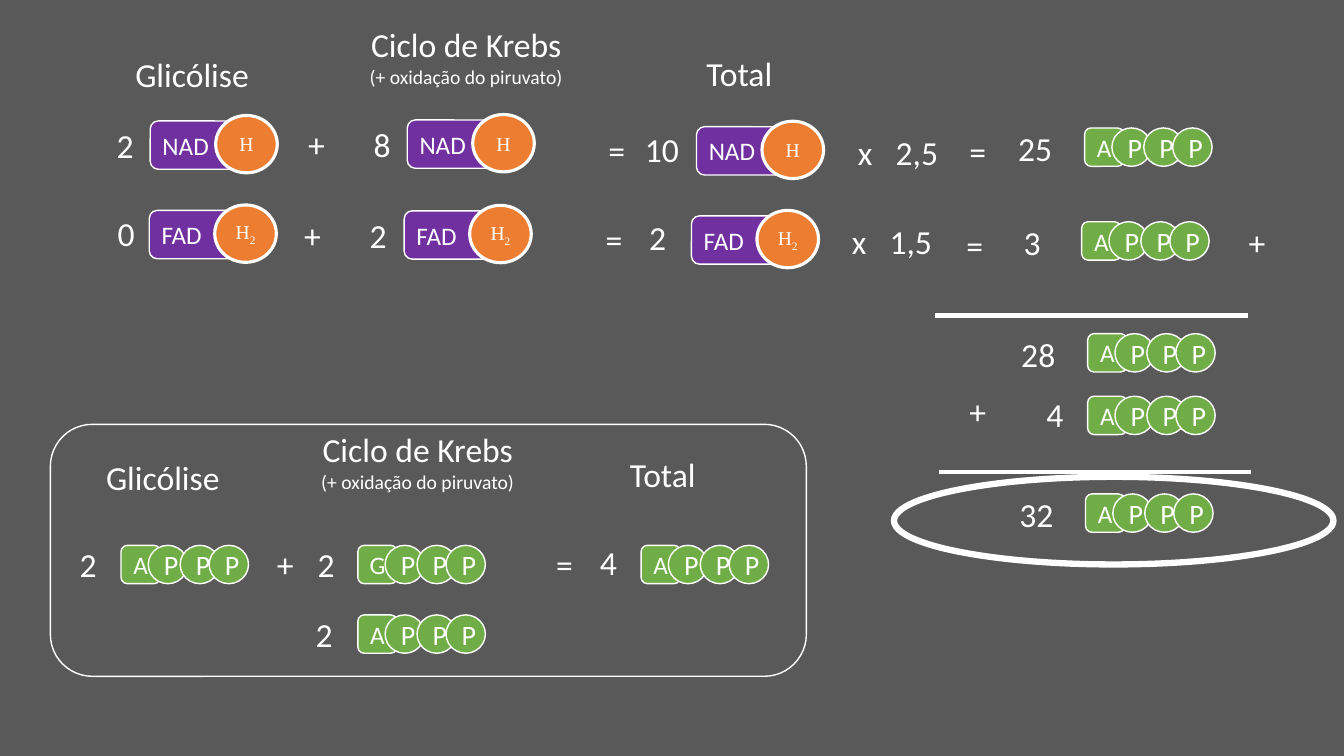
from lxml import etree
from pptx import Presentation
from pptx.dml.color import RGBColor
from pptx.enum.shapes import MSO_CONNECTOR, MSO_SHAPE
from pptx.enum.text import MSO_ANCHOR, MSO_AUTO_SIZE, PP_ALIGN
from pptx.oxml.ns import qn
from pptx.util import Pt

ROUNDED, OVAL = MSO_SHAPE.ROUNDED_RECTANGLE, MSO_SHAPE.OVAL
STRAIGHT = MSO_CONNECTOR.STRAIGHT
LEFT, CENTER = PP_ALIGN.LEFT, PP_ALIGN.CENTER
MIDDLE = MSO_ANCHOR.MIDDLE
GROW = MSO_AUTO_SIZE.SHAPE_TO_FIT_TEXT


class Theme:
    background = RGBColor(0x59, 0x59, 0x59)
    white = RGBColor(0xFF, 0xFF, 0xFF)
    carrier = RGBColor(0x70, 0x30, 0xA0)
    hydrogen = RGBColor(0xED, 0x7D, 0x31)
    nucleotide = RGBColor(0x70, 0xAD, 0x47)
    font, hydrogen_font = "Calibri", "Times New Roman"
    label_size, subtitle_size = 24, 14
    letter_size, phosphate_size, hydrogen_size = 18, 20, 14
    thin, medium, rule, thick = 1, 2.25, 3, 4.5


# Headings and labels: text, centre x, top
KREBS = ("Ciclo de Krebs", "(+ oxidação do piruvato)")
HEADINGS = [
    (("Glicólise",), 137.2, 35.3), (KREBS, 333, 13.7), (("Total",), 528.1, 34.6),
    (("Glicólise",), 116.3, 322.6), (KREBS, 298.4, 303.1), (("Total",), 473.4, 320.4),
]
LABELS = [
    # NAD row
    ("2", 89.3, 85.7), ("+", 226.1, 85), ("8", 272.9, 85), ("=", 440.6, 89.3),
    ("10", 472.7, 88.6), ("=", 698.4, 90), ("25", 739.4, 87.8),
    # FAD row
    ("0", 90, 148.3), ("+", 223.2, 149.8), ("2", 270, 149.8), ("=", 438.5, 152.6),
    ("2", 469.8, 151.2), ("=", 696.2, 157), ("3", 737.3, 154.8), ("+", 897.8, 154.8),
    # Sum on the right
    ("28", 741.6, 234.7), ("+", 698.4, 275.8), ("4", 753.5, 277.9), ("32", 740.2, 349.2),
    # Panel
    ("2", 63, 385.2), ("+", 203.8, 385.2), ("2", 232.9, 385.2), ("=", 403.2, 385.2),
    ("4", 434.5, 383.8), ("2", 231.5, 434.9),
]
# Factor, left, top
FACTORS = [("2,5", 605.7, 90.7), ("1,5", 601.3, 154.1)]
# Carrier, hydrogen count, left, top
CARRIERS = [
    ("NAD", "", 107.3, 86.4), ("NAD", "", 290.9, 85.7), ("NAD", "", 497.5, 90.5),
    ("FAD", "2", 106.6, 150.3), ("FAD", "2", 288.7, 150.6), ("FAD", "2", 493.9, 154.2),
]
# Base letter, left, top
TRIPHOSPHATES = [
    ("A", 774.7, 91.4), ("A", 772.6, 158.4), ("A", 776.9, 238.3),
    ("A", 776.9, 283), ("A", 775.4, 352.8), ("A", 86.4, 389.5),
    ("G", 255.6, 389.5), ("A", 457.9, 389.5), ("A", 255.6, 439.2),
]
# Start x, end x, y
SUM_LINES = [(668.2, 891.4, 225.4), (671, 893.5, 337)]
PANEL = (36, 303.1, 540, 180)
RESULT_RING = (638.6, 340.6, 313.9, 62.6)

CARRIER_SIZE, HYDROGEN_SIZE, HYDROGEN_SHIFT = (78.5, 34.5), (44, 41), (46.8, -3.9)
UNIT_SIZE, PHOSPHATE_SHIFTS = (28.1, 27.4), (19.5, 42.3, 63)
HEADING_WIDTH, LABEL_WIDTH, FACTOR_WIDTH, LINE_HEIGHT = 228, 54, 84, 36
FACTOR_TAB = 27


def style(paragraph, size, align=CENTER, font=Theme.font):
    paragraph.alignment = align
    paragraph.font.size = Pt(size)
    paragraph.font.name = font
    paragraph.font.color.rgb = Theme.white


def add_figure(slide, kind, box, line_width, fill=None):
    shape = slide.shapes.add_shape(kind, *map(Pt, box))
    shape.shadow.inherit = False
    if fill is None:
        shape.fill.background()
    else:
        shape.fill.solid()
        shape.fill.fore_color.rgb = fill
    shape.line.color.rgb = Theme.white
    shape.line.width = Pt(line_width)
    return shape


def write(shape, text, size, align=CENTER, font=Theme.font):
    shape.text_frame.vertical_anchor = MIDDLE
    paragraph = shape.text_frame.paragraphs[0]
    paragraph.add_run().text = text
    style(paragraph, size, align, font)
    return paragraph


def add_text_box(slide, left, top, width, height=LINE_HEIGHT):
    frame = slide.shapes.add_textbox(Pt(left), Pt(top), Pt(width), Pt(height)).text_frame
    frame.word_wrap = True
    frame.auto_size = GROW
    return frame


def add_label(slide, lines, center, top, width):
    """Centred lines; every line after the first is set as a subtitle."""
    height = LINE_HEIGHT + 17 * (len(lines) - 1)
    frame = add_text_box(slide, center - width / 2, top, width, height)
    for index, line in enumerate(lines):
        paragraph = frame.add_paragraph() if index else frame.paragraphs[0]
        paragraph.add_run().text = line
        style(paragraph, Theme.subtitle_size if index else Theme.label_size)


def add_factor(slide, factor, left, top):
    """Multiplication sign and factor, parted by a tab stop."""
    paragraph = add_text_box(slide, left, top, FACTOR_WIDTH).paragraphs[0]
    tabs = etree.SubElement(paragraph._p.get_or_add_pPr(), qn("a:tabLst"))
    etree.SubElement(tabs, qn("a:tab"), pos=str(Pt(FACTOR_TAB)), algn="l")
    paragraph.add_run().text = f"x\t{factor}"
    style(paragraph, Theme.label_size, LEFT)


def add_carrier(slide, name, count, left, top):
    body = add_figure(slide, ROUNDED, (left, top, *CARRIER_SIZE), Theme.thin, Theme.carrier)
    write(body, name, Theme.letter_size, LEFT)
    shift_x, shift_y = HYDROGEN_SHIFT
    circle = add_figure(slide, OVAL, (left + shift_x, top + shift_y, *HYDROGEN_SIZE),
                        Theme.medium, Theme.hydrogen)
    paragraph = write(circle, "H", Theme.hydrogen_size, font=Theme.hydrogen_font)
    if count:
        subscript = paragraph.add_run()
        subscript.text = count
        subscript._r.get_or_add_rPr().set("baseline", "-25000")


def add_triphosphate(slide, letter, left, top):
    base = add_figure(slide, ROUNDED, (left, top, *UNIT_SIZE), Theme.thin, Theme.nucleotide)
    write(base, letter, Theme.letter_size)
    for shift in PHOSPHATE_SHIFTS:
        phosphate = add_figure(slide, OVAL, (left + shift, top, *UNIT_SIZE),
                               Theme.thin, Theme.nucleotide)
        write(phosphate, "P", Theme.phosphate_size)


def add_sum_line(slide, start, end, y):
    line = slide.shapes.add_connector(STRAIGHT, Pt(start), Pt(y), Pt(end), Pt(y))
    line.line.color.rgb = Theme.white
    line.line.width = Pt(Theme.rule)
    etree.SubElement(line._element.spPr, qn("a:effectLst"))


def main():
    presentation = Presentation()
    presentation.slide_width, presentation.slide_height = Pt(960), Pt(540)
    slide = presentation.slides.add_slide(presentation.slide_layouts.get_by_name("Blank"))
    slide.background.fill.solid()
    slide.background.fill.fore_color.rgb = Theme.background

    add_figure(slide, ROUNDED, PANEL, Theme.thin)
    for lines, center, top in HEADINGS:
        add_label(slide, lines, center, top, HEADING_WIDTH)
    for text, center, top in LABELS:
        add_label(slide, (text,), center, top, LABEL_WIDTH)
    for factor in FACTORS:
        add_factor(slide, *factor)
    for carrier in CARRIERS:
        add_carrier(slide, *carrier)
    for triphosphate in TRIPHOSPHATES:
        add_triphosphate(slide, *triphosphate)
    for sum_line in SUM_LINES:
        add_sum_line(slide, *sum_line)
    add_figure(slide, OVAL, RESULT_RING, Theme.thick)
    presentation.save("out.pptx")


if __name__ == "__main__":
    main()
